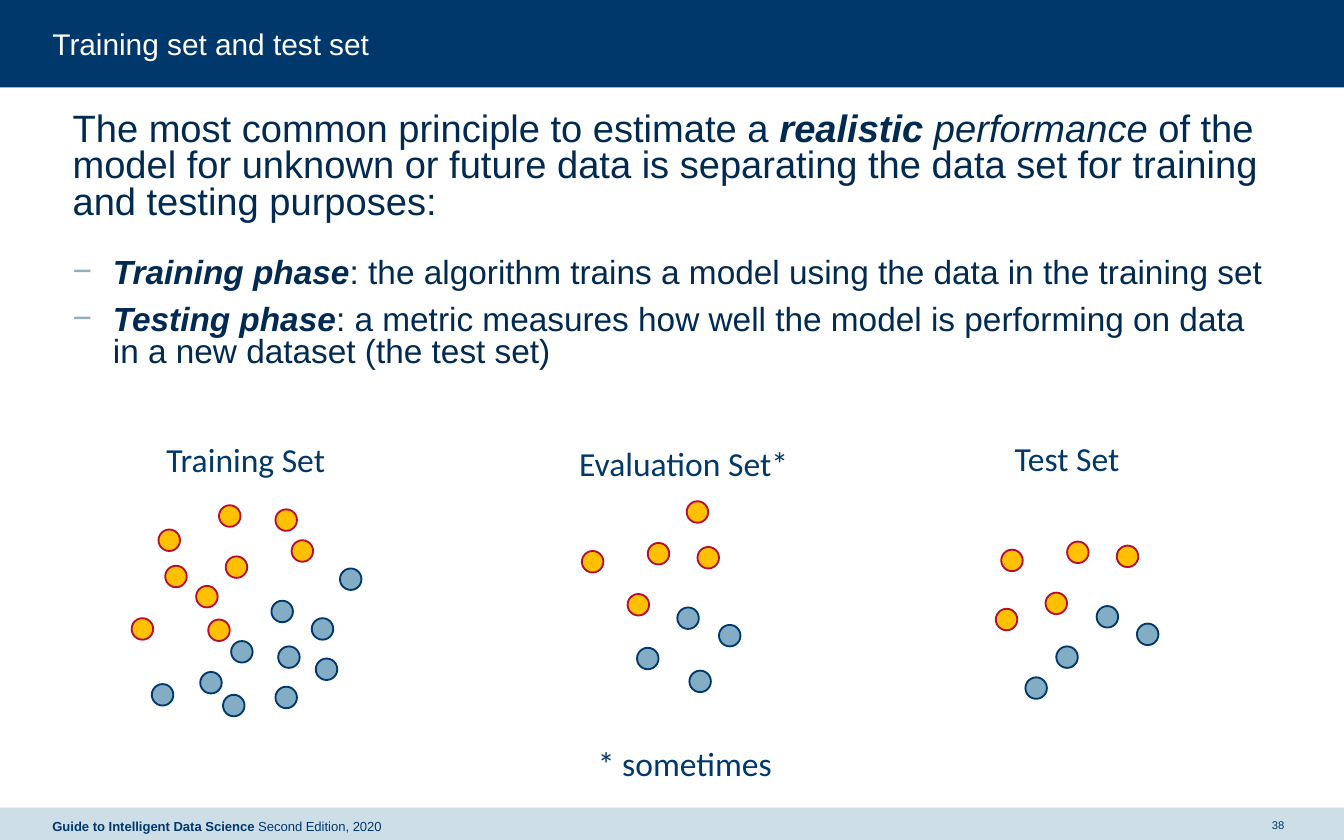
from dataclasses import dataclass

from lxml.etree import SubElement
from pptx import Presentation
from pptx.dml.color import RGBColor
from pptx.enum.shapes import MSO_SHAPE as Shape
from pptx.enum.text import MSO_ANCHOR as Anchor, MSO_AUTO_SIZE as AutoSize, PP_ALIGN as Align
from pptx.oxml.ns import qn
from pptx.util import Inches, Pt

NAVY = RGBColor(0x00, 0x38, 0x6C)
INK = RGBColor(0x00, 0x2A, 0x51)
WHITE = RGBColor(0xFF, 0xFF, 0xFF)
PALE = RGBColor(0xCD, 0xDE, 0xE7)
YELLOW = RGBColor(0xFF, 0xC0, 0x00)
RED = RGBColor(0xB6, 0x0E, 0x32)
BLUE = RGBColor(0x83, 0xAD, 0xC4)
DASH_COLOR = "92AEBC"

SLIDE_W, SLIDE_H = Inches(10), Inches(6.25)
COLUMNS, ROWS = 1000, 625
DOT_SIZE = 16


@dataclass(frozen=True)
class Box:
    col: int
    row: int
    cols: int
    rows: int

    def emu(self) -> tuple[int, int, int, int]:
        across, down = SLIDE_W // COLUMNS, SLIDE_H // ROWS
        return self.col * across, self.row * down, self.cols * across, self.rows * down


@dataclass(frozen=True)
class Phrase:
    text: str
    bold: bool = False
    italic: bool = False


@dataclass(frozen=True)
class Point:
    phrases: tuple[Phrase, ...]
    size: float
    before: float
    dashed: bool = True


@dataclass(frozen=True)
class DataSet:
    label: str
    label_box: Box
    yellow: tuple[tuple[int, int], ...]
    blue: tuple[tuple[int, int], ...]


POINTS = (
    Point((Phrase("The most common principle to estimate a "),
           Phrase("realistic", True, True),
           Phrase(" performance ", italic=True),
           Phrase("of the model for unknown or future data is separating "
                  "the data set for training and testing purposes:")), 20.4, 7.5, False),
    Point((Phrase("Training phase", True, True),
           Phrase(": the algorithm trains a model using the data in the training set")), 17.9, 19.7),
    Point((Phrase("Testing phase", True, True),
           Phrase(": a metric measures how well the model is performing on data "
                  "in a new dataset (the test set)")), 17.9, 7.5),
)

DATA_SETS = (
    DataSet("Training Set", Box(114, 322, 140, 40),
            ((205, 379), (146, 436), (123, 421), (118, 394), (168, 414),
             (155, 461), (163, 376), (217, 402), (98, 460)),
            ((207, 481), (253, 423), (235, 490), (172, 477), (202, 447), (232, 460),
             (149, 500), (113, 509), (205, 511), (166, 517))),
    DataSet("Evaluation Set*", Box(421, 325, 178, 40),
            ((511, 373), (433, 410), (467, 442), (482, 404), (519, 407)),
            ((474, 482), (504, 452), (535, 465), (513, 499))),
    DataSet("Test Set", Box(745, 321, 99, 40),
            ((741, 453), (745, 409), (778, 441), (794, 403), (831, 406)),
            ((786, 481), (816, 451), (846, 464), (763, 504))),
)


def place(shape, box: Box) -> None:
    shape.left, shape.top, shape.width, shape.height = box.emu()


def clear_margins(frame) -> None:
    frame.margin_left = frame.margin_right = frame.margin_top = frame.margin_bottom = 0


def style(font, name: str, size: float, color: RGBColor) -> None:
    font.name, font.size = name, Pt(size)
    font.color.rgb = color


def write(paragraph, phrases: tuple[Phrase, ...]) -> None:
    for phrase in phrases:
        run = paragraph.add_run()
        run.text = phrase.text
        run.font.bold, run.font.italic = phrase.bold, phrase.italic


def add_filled(shapes, kind: Shape, box: Box, fill: RGBColor, line: RGBColor | None = None) -> None:
    shape = shapes.add_shape(kind, *box.emu())
    shape.shadow.inherit = False
    shape.fill.solid()
    shape.fill.fore_color.rgb = fill
    if line is None:
        shape.line.fill.background()
    else:
        shape.line.color.rgb = line
        shape.line.width = Pt(1)


def add_label(shapes, text: str, box: Box) -> None:
    frame = shapes.add_textbox(*box.emu()).text_frame
    frame.word_wrap = False
    frame.auto_size = AutoSize.SHAPE_TO_FIT_TEXT
    frame.text = text
    style(frame.paragraphs[0].font, "Calibri", 18, NAVY)


def add_footer(shapes, phrases: tuple[Phrase, ...], box: Box, size: float, align: Align) -> None:
    frame = shapes.add_textbox(*box.emu()).text_frame
    frame.word_wrap = True
    frame.vertical_anchor = Anchor.MIDDLE
    clear_margins(frame)
    paragraph = frame.paragraphs[0]
    paragraph.alignment = align
    write(paragraph, phrases)
    style(paragraph.font, "Arial", size, NAVY)


def set_bullet(paragraph, dashed: bool) -> None:
    props = paragraph._p.get_or_add_pPr()
    indent = Inches(0.3) if dashed else 0
    props.set("marL", str(indent))
    props.set("indent", str(-indent))
    if dashed:
        SubElement(SubElement(props, qn("a:buClr")), qn("a:srgbClr")).set("val", DASH_COLOR)
        SubElement(props, qn("a:buChar")).set("char", "−")
    else:
        SubElement(props, qn("a:buNone"))


def fill_title(title, text: str) -> None:
    place(title, Box(39, 19, 922, 27))
    frame = title.text_frame
    clear_margins(frame)
    frame.auto_size = AutoSize.NONE
    frame.vertical_anchor = Anchor.TOP
    frame.text = text
    paragraph = frame.paragraphs[0]
    paragraph.alignment = Align.LEFT
    style(paragraph.font, "Arial", 16, WHITE)


def fill_body(body, points: tuple[Point, ...]) -> None:
    place(body, Box(54, 84, 887, 229))
    frame = body.text_frame
    clear_margins(frame)
    frame.auto_size = AutoSize.NONE
    for index, point in enumerate(points):
        paragraph = frame.add_paragraph() if index else frame.paragraphs[0]
        set_bullet(paragraph, point.dashed)
        paragraph.line_spacing = 0.8
        paragraph.space_before = Pt(point.before)
        write(paragraph, point.phrases)
        style(paragraph.font, "Arial", point.size, INK)


def add_data_set(shapes, data_set: DataSet) -> None:
    members = shapes.add_group_shape().shapes
    add_label(members, data_set.label, data_set.label_box)
    for dots, fill, line in ((data_set.yellow, YELLOW, RED), (data_set.blue, BLUE, NAVY)):
        for col, row in dots:
            add_filled(members, Shape.OVAL, Box(col, row, DOT_SIZE, DOT_SIZE), fill, line)


def main() -> None:
    deck = Presentation()
    deck.slide_width, deck.slide_height = SLIDE_W, SLIDE_H
    slide = deck.slides.add_slide(deck.slide_layouts[1])
    shapes = slide.shapes
    title, body = slide.placeholders

    add_filled(shapes, Shape.RECTANGLE, Box(0, 0, COLUMNS, 65), NAVY)
    add_filled(shapes, Shape.RECTANGLE, Box(0, 601, COLUMNS, ROWS - 601), PALE)
    for band in list(shapes)[-2:]:
        title._element.addprevious(band._element)

    fill_title(title, "Training set and test set")
    fill_body(body, POINTS)
    for data_set in DATA_SETS:
        add_data_set(shapes, data_set)
    add_label(shapes, "* sometimes", Box(435, 548, 151, 40))
    add_footer(shapes, (Phrase("Guide to Intelligent Data Science ", True),
                        Phrase("Second Edition, 2020")), Box(39, 602, 439, 26), 7, Align.LEFT)
    add_footer(shapes, (Phrase("38"),), Box(941, 601, 20, 26), 6, Align.CENTER)
    deck.save("out.pptx")


if __name__ == "__main__":
    main()
